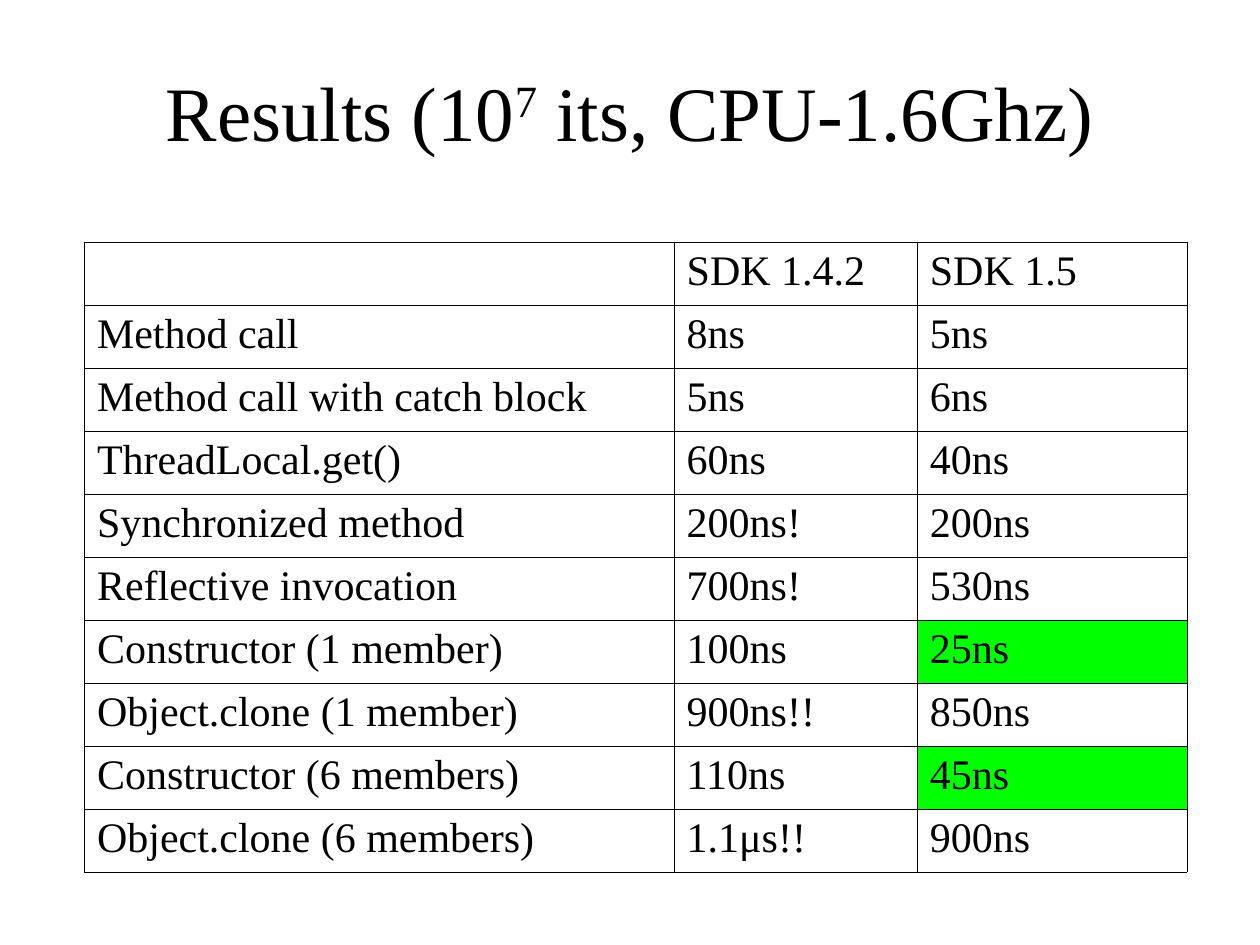
from lxml.etree import SubElement
from pptx import Presentation
from pptx.dml.color import RGBColor
from pptx.enum.text import MSO_ANCHOR, PP_ALIGN
from pptx.oxml.ns import qn
from pptx.util import Inches, Pt

# Content: title runs as (text, is superscript), then the table rows
TITLE = [("Results (10", False), ("7", True), (" its, CPU-1.6Ghz)", False)]
RESULTS = [
    ("", "SDK 1.4.2", "SDK 1.5"),
    ("Method call", "8ns", "5ns"),
    ("Method call with catch block", "5ns", "6ns"),
    ("ThreadLocal.get()", "60ns", "40ns"),
    ("Synchronized method", "200ns!", "200ns"),
    ("Reflective invocation", "700ns!", "530ns"),
    ("Constructor (1 member)", "100ns", "25ns"),
    ("Object.clone (1 member)", "900ns!!", "850ns"),
    ("Constructor (6 members)", "110ns", "45ns"),
    ("Object.clone (6 members)", "1.1μs!!", "900ns"),
]
HIGHLIGHTS = {"25ns", "45ns"}
COLUMN_WIDTHS = [4.68, 1.93, 2.14]
ROW_HEIGHT = 0.5

THEME = {
    "font": "Times New Roman",
    "text": RGBColor(0, 0, 0),
    "border": "000000",
    "highlight": RGBColor(0, 255, 0),
    "title_size": Pt(44),
    "cell_size": Pt(24),
    "border_width": Pt(0.45),
}


def add_run(paragraph, text, size):
    run = paragraph.add_run()
    run.text = text
    run.font.name = THEME["font"]
    run.font.size = size
    run.font.color.rgb = THEME["text"]
    return run


def add_borders(cell):
    properties = cell._tc.get_or_add_tcPr()
    for side in ("a:lnL", "a:lnR", "a:lnT", "a:lnB"):
        border = SubElement(properties, qn(side), w=str(THEME["border_width"]))
        fill = SubElement(border, qn("a:solidFill"))
        SubElement(fill, qn("a:srgbClr"), val=THEME["border"])


def add_title(slide):
    title = slide.shapes.title
    title.left, title.top = Inches(0.75), Inches(0.25)
    title.width, title.height = Inches(8.5), Inches(1.25)
    title.text_frame.vertical_anchor = MSO_ANCHOR.MIDDLE
    heading = title.text_frame.paragraphs[0]
    heading.alignment = PP_ALIGN.CENTER
    for text, superscript in TITLE:
        run = add_run(heading, text, THEME["title_size"])
        if superscript:
            run._r.get_or_add_rPr().set("baseline", "30000")


def add_results(slide):
    table = slide.shapes.add_table(
        len(RESULTS), len(COLUMN_WIDTHS), Inches(0.67), Inches(1.92),
        Inches(sum(COLUMN_WIDTHS)), Inches(ROW_HEIGHT * len(RESULTS))).table
    table.first_row = table.horz_banding = False
    for column, width in zip(table.columns, COLUMN_WIDTHS):
        column.width = Inches(width)

    for row, values in zip(table.rows, RESULTS):
        row.height = Inches(ROW_HEIGHT)
        for cell, value in zip(row.cells, values):
            add_borders(cell)
            if value in HIGHLIGHTS:
                cell.fill.solid()
                cell.fill.fore_color.rgb = THEME["highlight"]
            else:
                cell.fill.background()
            if value:
                label = cell.text_frame.paragraphs[0]
                label.space_before = Pt(6)
                add_run(label, value, THEME["cell_size"])


def main():
    deck = Presentation()
    deck.slide_width, deck.slide_height = Inches(10), Inches(7.5)
    slide = deck.slides.add_slide(deck.slide_layouts[5])
    add_title(slide)
    add_results(slide)
    deck.save("out.pptx")


if __name__ == "__main__":
    main()
